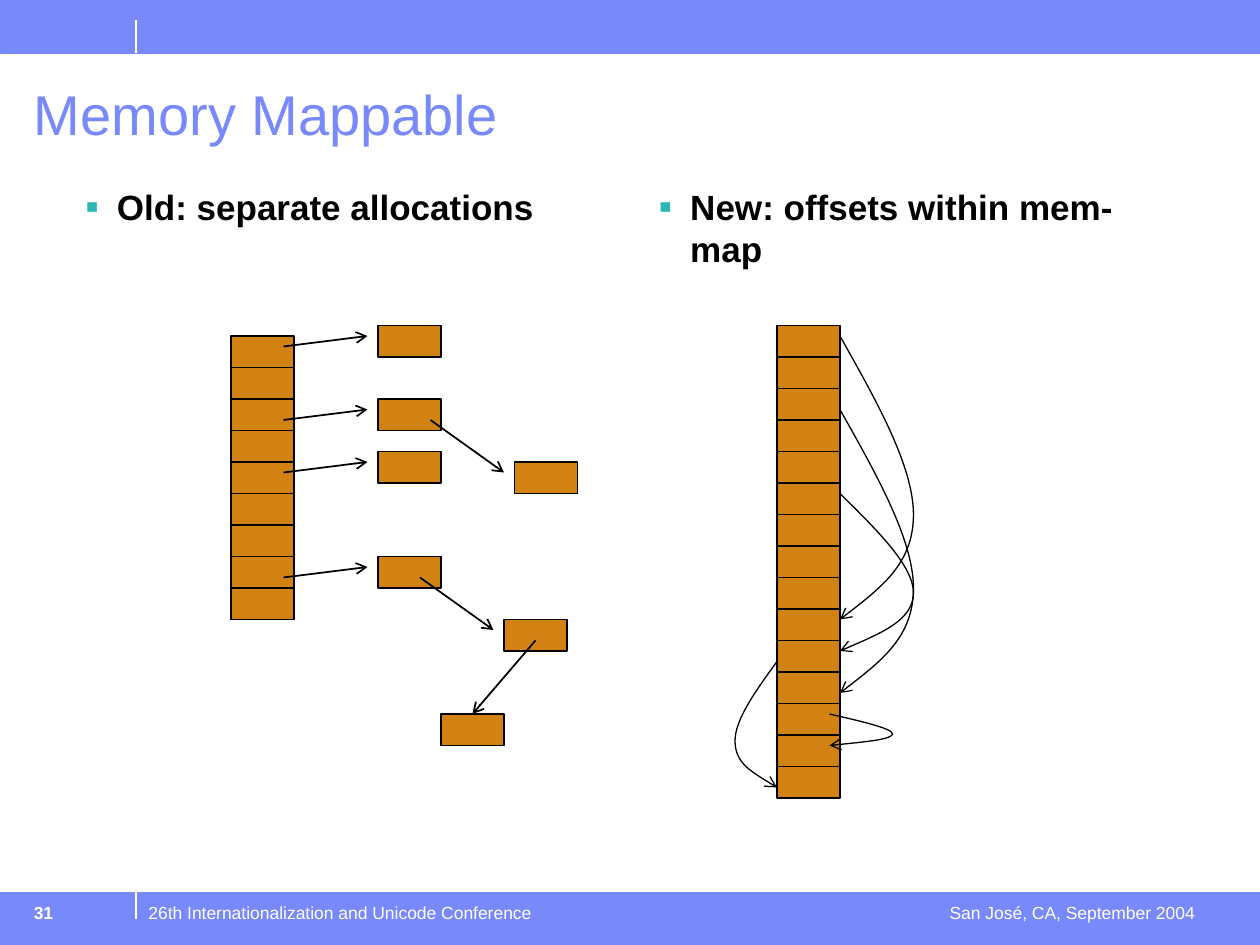
from lxml import etree
from pptx import Presentation
from pptx.dml.color import RGBColor
from pptx.enum.shapes import MSO_CONNECTOR as CONN, MSO_SHAPE as SHAPE
from pptx.enum.text import MSO_ANCHOR as ANCHOR, PP_ALIGN as ALIGN
from pptx.oxml.ns import qn
from pptx.util import Inches, Pt

COLORS = {"band": "7889FB", "cell": "D18213", "ink": "000000",
          "white": "FFFFFF", "bullet": "2DB6B3"}
CELL_W, CELL_H = 6, 3  # diagrams sit on a grid of twelfths of an inch


def rgb(name):
    return RGBColor.from_string(COLORS[name])


def grid(n):
    return Inches(n / 12)


def set_line(sp, color, width, arrow=False):
    sp.line.color.rgb = rgb(color)
    sp.line.width = Pt(width)
    if arrow:
        ln = sp.line._get_or_add_ln()
        etree.SubElement(ln, qn("a:tailEnd"), type="arrow")


def add_rect(shapes, x, y, w, h, fill, line, width):
    sp = shapes.add_shape(SHAPE.RECTANGLE, x, y, w, h)
    sp.shadow.inherit = False
    sp.fill.solid()
    sp.fill.fore_color.rgb = rgb(fill)
    set_line(sp, line, width)


def add_line(shapes, x1, y1, x2, y2, color, width, arrow=False):
    cxn = shapes.add_connector(CONN.STRAIGHT, x1, y1, x2, y2)
    set_line(cxn, color, width, arrow)
    etree.SubElement(cxn._element.spPr, qn("a:effectLst"))


def add_text(slide, box, text, font, para=None, anchor=ANCHOR.TOP):
    tf = slide.shapes.add_textbox(*map(Inches, box)).text_frame
    tf.word_wrap = True
    tf.vertical_anchor = anchor
    p = tf.paragraphs[0]
    for name, value in (para or {}).items():
        setattr(p, name, value)
    r = p.add_run()
    r.text = text
    r.font.color.rgb = rgb(font.pop("color"))
    for name, value in {"name": "Arial", **font}.items():
        setattr(r.font, name, value)
    return p


def add_bullet(slide, box, text):
    p = add_text(slide, box, text, {"size": Pt(20), "bold": True, "color": "ink"},
                 {"space_before": Pt(8.8), "space_after": Pt(3.7)})
    pPr = p._p.get_or_add_pPr()
    pPr.set("marL", str(Inches(0.25)))
    pPr.set("indent", str(Inches(-0.25)))
    clr = etree.SubElement(pPr, qn("a:buClr"))
    etree.SubElement(clr, qn("a:srgbClr"), val=COLORS["bullet"])
    etree.SubElement(pPr, qn("a:buSzPct"), val="110000")
    etree.SubElement(pPr, qn("a:buFont"), typeface="Arial")
    etree.SubElement(pPr, qn("a:buChar"), char="▪")


def add_band(slide, top, line_top, line_bottom):
    """Full-width band with a short vertical divider."""
    add_rect(slide.shapes, 0, Inches(top), Inches(10), Inches(0.42),
             "band", "band", 0.25)
    add_line(slide.shapes, Inches(1.08), Inches(line_top),
             Inches(1.08), Inches(line_bottom), "white", 0.75)


def add_cell(shapes, x, y):
    add_rect(shapes, grid(x), grid(y), grid(CELL_W), grid(CELL_H),
             "cell", "ink", 0.75)


def add_column(shapes, x, y, count):
    for i in range(count):
        add_cell(shapes, x, y + i * CELL_H)


def add_curve(shapes, x, y1, y2, bulge):
    """Arrow that leaves x at y1, swings out by bulge and returns at y2."""
    swing = [(0.5, 0.23), (1, 0.46), (1, 0.63), (1, 0.8), (0.5, 0.9), (0, 1)]
    points = [(grid(x + bulge * fx), grid(y1 + (y2 - y1) * fy)) for fx, fy in swing]
    builder = shapes.build_freeform(grid(x), grid(y1))
    builder.add_line_segments(points, close=False)
    sp = builder.convert_to_shape()
    sp.shadow.inherit = False
    sp.fill.background()
    set_line(sp, "ink", 0.75, arrow=True)
    # Turn each three line points into one cubic segment
    segments = list(sp._element.iter(qn("a:lnTo")))
    for i in range(0, len(segments), 3):
        first, *rest = segments[i:i + 3]
        first.tag = qn("a:cubicBezTo")
        for seg in rest:
            first.append(seg[0])
            seg.getparent().remove(seg)


def add_old_diagram(slide, x, y):
    shapes = slide.shapes.add_group_shape().shapes

    def arrow(x1, y1, x2, y2):
        add_line(shapes, grid(x + x1), grid(y + y1), grid(x + x2), grid(y + y2),
                 "ink", 1, arrow=True)

    add_column(shapes, x, y + 1, 9)
    # Blocks pointed to from the column
    for top in (0, 7, 12, 22):
        arrow(5, top + 2, 13, top + 1)
        add_cell(shapes, x + 14, y + top)
    # Blocks pointed to from other blocks
    for link, (cx, cy) in [((18, 24, 25, 29), (26, 28)),
                           ((19, 9, 26, 14), (27, 13)),
                           ((29, 30, 23, 37), (20, 37))]:
        arrow(*link)
        add_cell(shapes, x + cx, y + cy)


def add_new_diagram(slide, x, y):
    shapes = slide.shapes.add_group_shape().shapes
    add_column(shapes, x, y, 15)
    # Offsets: side, start, end, bulge
    for dx, start, end, bulge in [(6, 1, 28, 7), (6, 8, 35, 7), (6, 16, 31, 7),
                                  (0, 32, 44, -4), (5, 37, 40, 6)]:
        add_curve(shapes, x + dx, y + start, y + end, bulge)


def add_footer(slide, top):
    add_text(slide, (1.08, top, 4.17, 0.27),
             "26th Internationalization and Unicode Conference",
             {"size": Pt(10), "color": "white"})
    add_text(slide, (0.17, top, 1.1, 0.35), "31",
             {"size": Pt(10), "bold": True, "color": "white"},
             {"space_before": Pt(6.2)})
    add_text(slide, (6.83, top, 2.75, 0.35), "San José, CA, September 2004",
             {"size": Pt(10), "color": "white"}, {"alignment": ALIGN.RIGHT})


def main():
    prs = Presentation()
    prs.slide_width, prs.slide_height = Inches(10), Inches(7.5)
    slide = prs.slides.add_slide(prs.slide_layouts[6])

    # Frame and title
    add_band(slide, 0, 0.16, 0.42)
    add_band(slide, 7.08, 7.08, 7.29)
    add_text(slide, (0.17, 0.67, 9.02, 0.55), "Memory Mappable",
             {"size": Pt(32), "color": "band"}, {"line_spacing": 0.9},
             ANCHOR.BOTTOM)

    # Two columns
    add_bullet(slide, (0.58, 1.42, 4.37, 5.25), "Old: separate allocations")
    add_bullet(slide, (5.13, 1.42, 4.37, 5.25), "New: offsets within mem-map")
    add_old_diagram(slide, 22, 31)
    add_new_diagram(slide, 74, 31)

    add_footer(slide, 7.11)
    prs.save("out.pptx")


if __name__ == "__main__":
    main()
